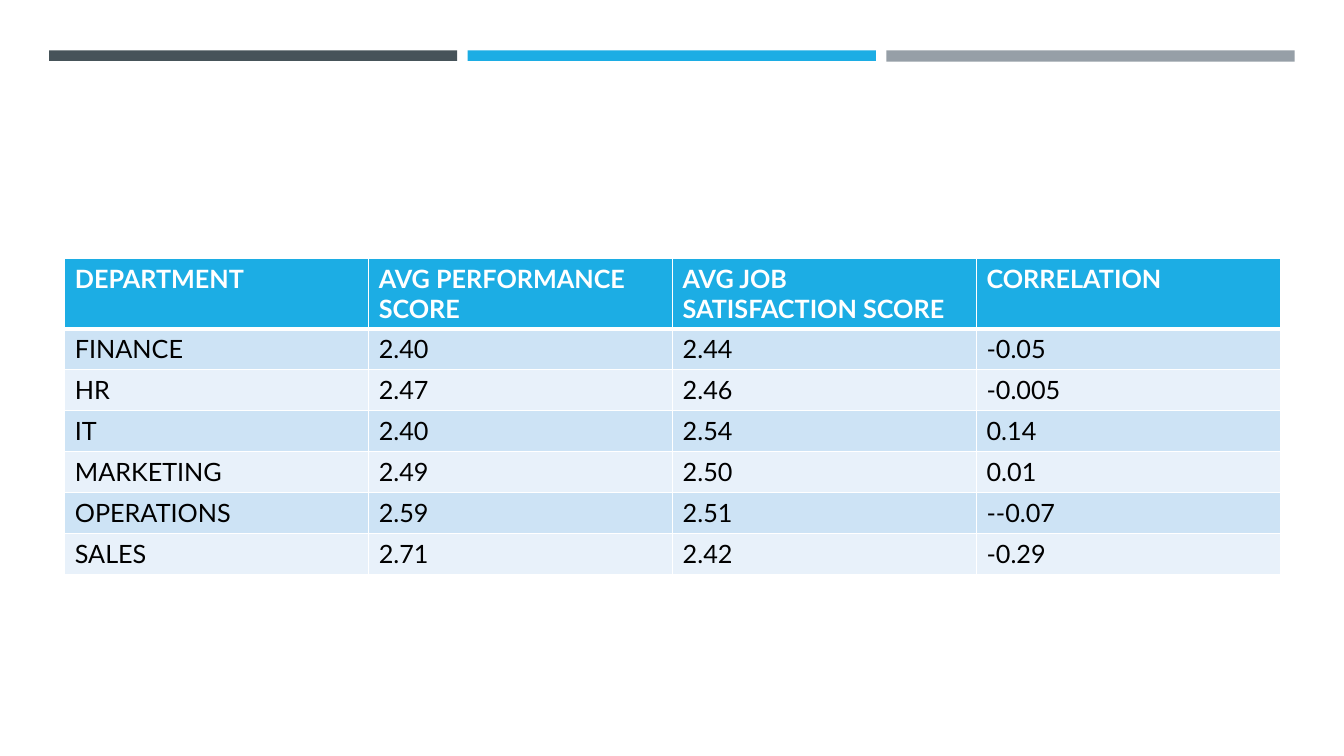
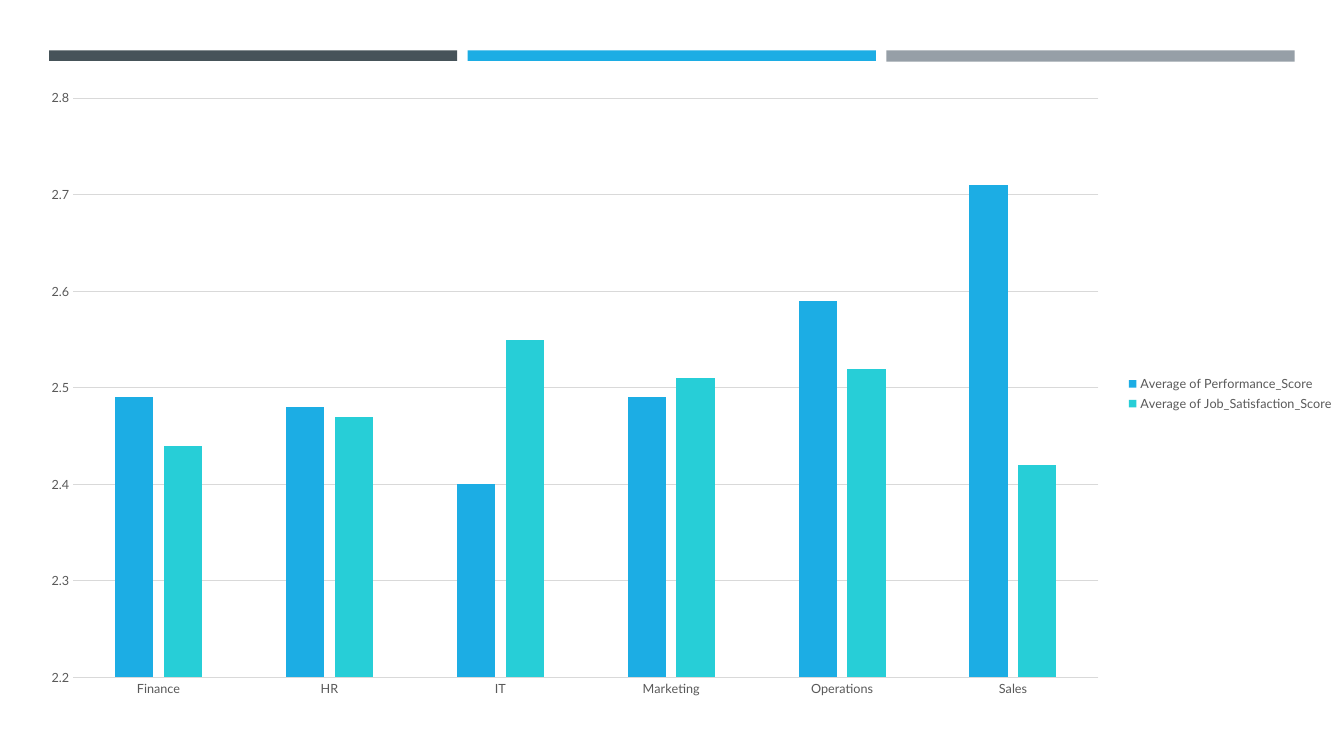
from dataclasses import dataclass

from lxml.etree import SubElement
from pptx import Presentation
from pptx.chart.axis import CategoryAxis, ValueAxis
from pptx.chart.data import CategoryChartData
from pptx.dml.color import RGBColor
from pptx.enum.chart import XL_CHART_TYPE, XL_LEGEND_POSITION, XL_TICK_MARK
from pptx.enum.shapes import MSO_SHAPE
from pptx.oxml import parse_xml
from pptx.oxml.ns import nsdecls, qn
from pptx.presentation import Presentation as Deck
from pptx.slide import Slide
from pptx.table import _Cell
from pptx.text.text import Font
from pptx.util import Pt


@dataclass(frozen=True)
class Theme:
    font: str = "Lato"
    slate: str = "465359"
    blue: str = "1CADE4"
    gray: str = "969FA7"
    teal: str = "27CED7"
    white: str = "FFFFFF"
    black: str = "000000"
    row_dark: str = "CDE3F5"
    row_light: str = "E8F1FA"
    label: str = "595959"
    grid: str = "D9D9D9"
    table_size: float = 18
    chart_size: float = 10
    label_size: float = 9


@dataclass(frozen=True)
class Band:
    color: str
    height: float


@dataclass(frozen=True)
class Series:
    name: str
    values: tuple[float, ...]
    color: str


THEME = Theme()

BANDS = (Band(THEME.slate, 7.5), Band(THEME.blue, 7.5), Band(THEME.gray, 8))
BAND_LEFT, BAND_TOP, BAND_WIDTH, BAND_GAP = 35, 36, 291.6, 7.5

HEADER = ("DEPARTMENT", "AVG PERFORMANCE SCORE", "AVG JOB SATISFACTION SCORE", "CORRELATION")
ROWS = (
    ("FINANCE", "2.40", "2.44", "-0.05"),
    ("HR", "2.47", "2.46", "-0.005"),
    ("IT", "2.40", "2.54", "0.14"),
    ("MARKETING", "2.49", "2.50", "0.01"),
    ("OPERATIONS", "2.59", "2.51", "--0.07"),
    ("SALES", "2.71", "2.42", "-0.29"),
)
COLUMN_WIDTH, HEADER_HEIGHT, ROW_HEIGHT = 217.1, 50, 29.2

DEPARTMENTS = ("Finance", "HR", "IT", "Marketing", "Operations", "Sales")
SERIES = (
    Series("Average of Performance_Score", (2.49, 2.48, 2.4, 2.49, 2.59, 2.71), THEME.blue),
    Series("Average of Job_Satisfaction_Score", (2.44, 2.47, 2.55, 2.51, 2.52, 2.42), THEME.teal),
)


def rgb(color: str) -> RGBColor:
    return RGBColor.from_string(color)


def style_font(font: Font, size: float, color: str, bold: bool = False) -> None:
    font.name = THEME.font
    font.size = Pt(size)
    font.bold = bold
    font.color.rgb = rgb(color)


def add_banded_slide(prs: Deck) -> Slide:
    s = prs.slides.add_slide(prs.slide_layouts[6])
    for i, band in enumerate(BANDS):
        left = BAND_LEFT + i * (BAND_WIDTH + BAND_GAP)
        sp = s.shapes.add_shape(
            MSO_SHAPE.RECTANGLE, Pt(left), Pt(BAND_TOP), Pt(BAND_WIDTH), Pt(band.height)
        )
        sp.shadow.inherit = False
        sp.fill.solid()
        sp.fill.fore_color.rgb = rgb(band.color)
        sp.line.fill.background()
    return s


def set_borders(cell: _Cell, top: float, bottom: float) -> None:
    tc_pr = cell._tc.get_or_add_tcPr()
    widths = {"lnL": 1, "lnR": 1, "lnT": top, "lnB": bottom}
    for i, (tag, width) in enumerate(widths.items()):
        ln = parse_xml(f'<a:{tag} {nsdecls("a")} w="{Pt(width)}"/>')
        fill = SubElement(ln, qn("a:solidFill"))
        SubElement(fill, qn("a:srgbClr"), val=THEME.white)
        tc_pr.insert(i, ln)


def style_cell(cell: _Cell, text: str, row: int) -> None:
    is_header = row == 0
    fill = THEME.blue if is_header else THEME.row_dark if row % 2 else THEME.row_light
    cell.fill.solid()
    cell.fill.fore_color.rgb = rgb(fill)
    set_borders(cell, top=3 if row == 1 else 1, bottom=3 if is_header else 1)
    p = cell.text_frame.paragraphs[0]
    p.text = text
    color = THEME.white if is_header else THEME.black
    style_font(p.runs[0].font, THEME.table_size, color, is_header)


def add_score_table(s: Slide) -> None:
    rows = (HEADER, *ROWS)
    width = COLUMN_WIDTH * len(HEADER)
    height = HEADER_HEIGHT + ROW_HEIGHT * len(ROWS)
    table = s.shapes.add_table(
        len(rows), len(HEADER), Pt(46.3), Pt(184.6), Pt(width), Pt(height)
    ).table
    for column in table.columns:
        column.width = Pt(COLUMN_WIDTH)
    for i, texts in enumerate(rows):
        table.rows[i].height = Pt(ROW_HEIGHT if i else HEADER_HEIGHT)
        for j, text in enumerate(texts):
            style_cell(table.cell(i, j), text, i)


def style_axis(axis: CategoryAxis | ValueAxis) -> None:
    axis.major_tick_mark = XL_TICK_MARK.NONE
    axis.minor_tick_mark = XL_TICK_MARK.NONE
    style_font(axis.tick_labels.font, THEME.label_size, THEME.label)


def add_score_chart(s: Slide) -> None:
    data = CategoryChartData()
    data.categories = DEPARTMENTS
    for series in SERIES:
        data.add_series(series.name, series.values)
    chart = s.shapes.add_chart(
        XL_CHART_TYPE.COLUMN_CLUSTERED, Pt(18), Pt(55.5), Pt(942), Pt(451.5), data
    ).chart
    style_font(chart.font, THEME.chart_size, THEME.black)
    chart.has_title = False

    plot = chart.plots[0]
    plot.gap_width = 219
    plot.overlap = -27
    plot.vary_by_categories = False
    for drawn, series in zip(plot.series, SERIES):
        drawn.format.fill.solid()
        drawn.format.fill.fore_color.rgb = rgb(series.color)
        drawn.invert_if_negative = False

    category_axis, value_axis = chart.category_axis, chart.value_axis
    style_axis(category_axis)
    style_axis(value_axis)
    value_axis.minimum_scale = 2.2
    value_axis.maximum_scale = 2.8
    value_axis.major_unit = 0.1
    value_axis.has_major_gridlines = True
    value_axis.format.line.fill.background()
    for line in (category_axis.format.line, value_axis.major_gridlines.format.line):
        line.color.rgb = rgb(THEME.grid)
        line.width = Pt(0.75)

    chart.has_legend = True
    chart.legend.position = XL_LEGEND_POSITION.RIGHT
    chart.legend.include_in_layout = False
    style_font(chart.legend.font, THEME.label_size, THEME.label)


def main() -> None:
    prs = Presentation()
    prs.slide_width = Pt(960)
    prs.slide_height = Pt(540)
    add_score_table(add_banded_slide(prs))
    add_score_chart(add_banded_slide(prs))
    prs.save("out.pptx")


if __name__ == "__main__":
    main()
